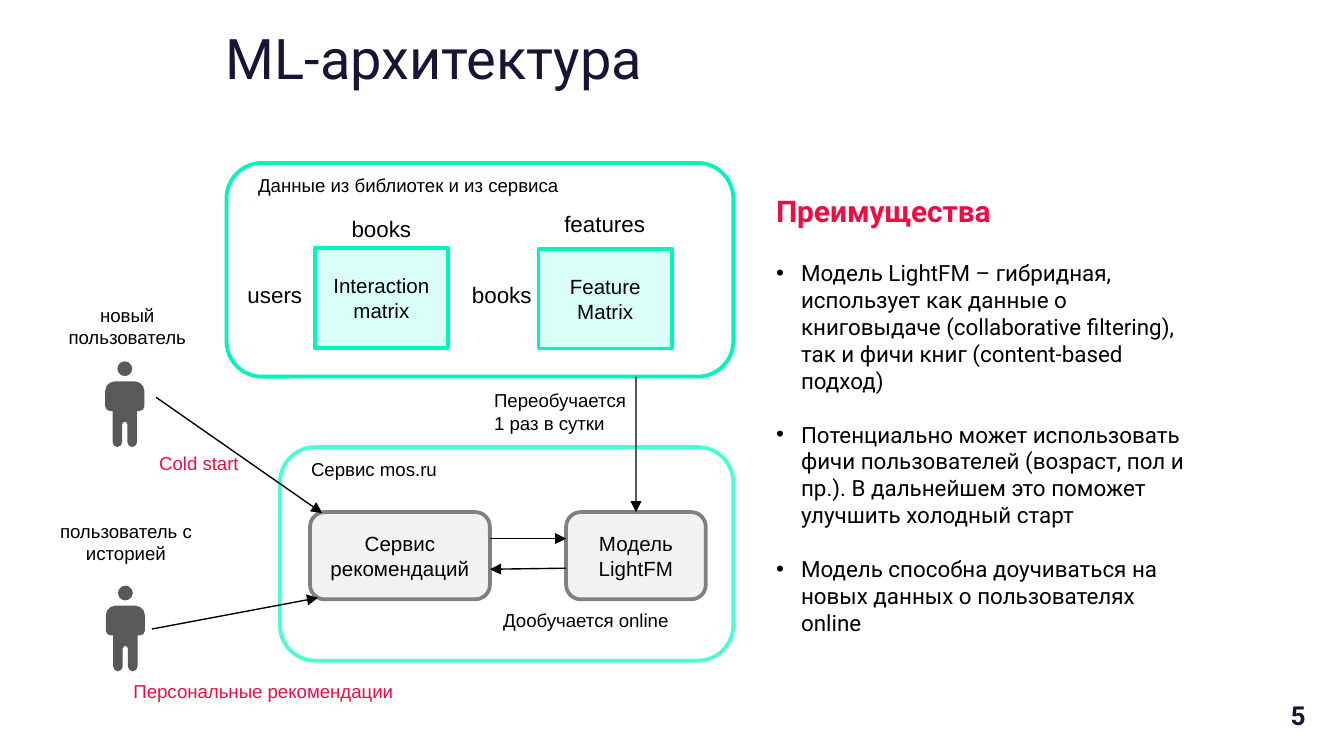
"""Build the ML architecture slide with its data flow and list of benefits."""
from math import cos, radians, sin
from lxml.etree import SubElement
from pptx import Presentation
from pptx.dml.color import RGBColor
from pptx.enum.shapes import MSO_CONNECTOR, MSO_SHAPE
from pptx.enum.text import MSO_ANCHOR, PP_ALIGN
from pptx.oxml.ns import qn
from pptx.util import Cm, Pt

BLACK, NAVY, RED, GREY = "000000", "171536", "EC0E43", "595959"
LEFT, MID = PP_ALIGN.LEFT, PP_ALIGN.CENTER


def color(code):
    """Turn a hex string into a colour."""
    return RGBColor.from_string(code)


def write(shape, words, size, ink=BLACK, align=MID, face="Arial", bold=False):
    """Fill a shape with styled text and return its frame."""
    frame = shape.text_frame
    frame.word_wrap = True
    frame.text = words
    for para in frame.paragraphs:
        para.alignment = align
        for run in para.runs:
            font = run.font
            font.name, font.size, font.bold = face, Pt(size), bold
            font.color.rgb = color(ink)
    return frame


deck = Presentation()
deck.slide_width, deck.slide_height = Cm(25.4), Cm(14.29)
slide = deck.slides.add_slide(deck.slide_layouts[6])
shapes = slide.shapes

title = shapes.add_textbox(Cm(4.02), Cm(0.28), Cm(12.7), Cm(1.68))
frame = write(title, "ML-архитектура", 30, NAVY, LEFT, "Roboto")
frame.vertical_anchor = MSO_ANCHOR.BOTTOM
frame.margin_top = frame.margin_bottom = Cm(0.25)

page = shapes.add_textbox(Cm(24.29), Cm(13.22), Cm(0.84), Cm(0.61))
frame = write(page, "5", 14, NAVY, LEFT, "Roboto", True)
frame.margin_left, frame.margin_right = Cm(0.1), 0
frame.margin_top = frame.margin_bottom = 0

ROUND, RECT = MSO_SHAPE.ROUNDED_RECTANGLE, MSO_SHAPE.RECTANGLE
for kind, x, y, w, h, fill, edge, words in [
    (ROUND, 5.29, 8.45, 8.57, 4.04, "FFFFFF", "48FFD5", ""),
    (ROUND, 4.28, 3.08, 9.58, 4.04, "FFFFFF", "00F5BD", ""),
    (RECT, 5.95, 4.69, 2.52, 1.89, "DAFFF7", "00F5BD", "Interaction\nmatrix"),
    (RECT, 10.18, 4.71, 2.52, 1.88, "DAFFF7", "00F5BD", "Feature\nMatrix"),
    (ROUND, 5.86, 9.68, 3.4, 1.65, "F2F2F2", "808080", "Сервис рекомендаций"),
    (ROUND, 10.7, 9.68, 2.64, 1.65, "F2F2F2", "808080", "Модель\nLightFM"),
]:
    box = shapes.add_shape(kind, Cm(x), Cm(y), Cm(w), Cm(h))
    box.shadow.inherit = False
    box.fill.solid()
    box.fill.fore_color.rgb = color(fill)
    box.line.color.rgb = color(edge)
    box.line.width = Pt(2)
    if words:
        write(box, words, 11).vertical_anchor = MSO_ANCHOR.MIDDLE
model = box

for x, y, w, h, words, size, ink, align in [
    (4.38, 5.19, 1.63, 0.76, "users", 12, BLACK, MID),
    (6.36, 3.94, 1.7, 0.76, "books", 12, BLACK, MID),
    (8.67, 5.19, 1.68, 0.76, "books", 12, BLACK, LEFT),
    (10.25, 3.85, 2.36, 0.76, "features", 12, BLACK, MID),
    (4.63, 3.17, 6.88, 0.69, "Данные из библиотек и из сервиса", 10, BLACK, LEFT),
    (5.63, 8.53, 3.1, 0.69, "Сервис mos.ru", 10, BLACK, LEFT),
    (9.09, 7.23, 3.23, 1.12, "Переобучается 1 раз в сутки", 10, BLACK, LEFT),
    (1.01, 5.61, 2.79, 1.12, "новый пользователь", 10, BLACK, MID),
    (0.5, 9.7, 3.76, 1.12, "пользователь с историей", 10, BLACK, MID),
    (2.68, 8.41, 2.16, 0.69, "Cold start", 10, RED, MID),
    (1.48, 12.73, 6.99, 0.69, "Персональные рекомендации", 10, RED, MID),
    (9.26, 11.38, 3.71, 0.69, "Дообучается online", 10, BLACK, LEFT),
]:
    label = shapes.add_textbox(Cm(x), Cm(y), Cm(w), Cm(h))
    write(label, words, size, ink, align)

for x1, y1, x2, y2 in [
    (9.26, 10.18, 10.7, 10.18),
    (10.7, 10.74, 9.26, 10.76),
    (2.95, 7.51, 6.09, 9.7),
    (2.87, 11.89, 6.01, 11.3),
    (12.02, 7.12, 12.02, 9.68),
]:
    arrow = shapes.add_connector(MSO_CONNECTOR.STRAIGHT, Cm(x1), Cm(y1), Cm(x2), Cm(y2))
    arrow.line.color.rgb = color(BLACK)
    arrow.line.width = Pt(0.75)
    SubElement(arrow.line._get_or_add_ln(), qn("a:tailEnd"), type="triangle")
    SubElement(arrow._element.spPr, qn("a:effectLst"))
arrow.end_connect(model, 0)

half = []
for x, y, r, start, stop, steps in [
    (0.19, 0.18, 0.18, -90, 0, 3),
    (0.28, 0.47, 0.09, 0, 90, 2),
    (0.14, 1.15, 0.09, 0, 180, 4),
    (0, 0.81, 0.05, 0, -60, 1),
]:
    if steps == 4:
        half.append((0.23, 0.56))
    for step in range(steps + 1):
        turn = radians(start + (stop - start) * step / steps)
        half.append((x + r * cos(turn), y + r * sin(turn)))
body = half + [(-x, y) for x, y in reversed(half)]

for mid, top in [(2.36, 6.83), (2.37, 11.07)]:
    head = shapes.add_shape(MSO_SHAPE.OVAL, Cm(mid - 0.14), Cm(top), Cm(0.28), Cm(0.28))
    spots = [(Cm(mid + x), Cm(top + 0.38 + y)) for x, y in body]
    build = shapes.build_freeform(*spots[0])
    build.add_line_segments(spots[1:], close=True)
    for part in (head, build.convert_to_shape()):
        part.shadow.inherit = False
        part.fill.solid()
        part.fill.fore_color.rgb = color(GREY)
        part.line.fill.background()

panel = shapes.add_textbox(Cm(14.42), Cm(3.51), Cm(8.43), Cm(9.25))
frame = write(panel, "\n".join([
    "Преимущества",
    "Модель LightFM – гибридная, использует как данные о книговыдаче "
    "(collaborative filtering), так и фичи книг (content-based подход)",
    "Потенциально может использовать фичи пользователей (возраст, пол и пр.). "
    "В дальнейшем это поможет улучшить холодный старт",
    "Модель способна доучиваться на новых данных о пользователях online",
]), 12, BLACK, LEFT, "Roboto")
lead, *points = frame.paragraphs
font = lead.runs[0].font
font.size, font.bold = Pt(16), True
font.color.rgb = color(RED)
for para in points:
    para.space_before = Pt(16.8 if para is points[0] else 14.4)
    props = para._p.get_or_add_pPr()
    props.set("marL", str(Cm(0.47)))
    props.set("indent", str(-Cm(0.47)))
    SubElement(props, qn("a:buFont"), typeface="Arial")
    SubElement(props, qn("a:buChar"), char="•")

deck.save("out.pptx")
